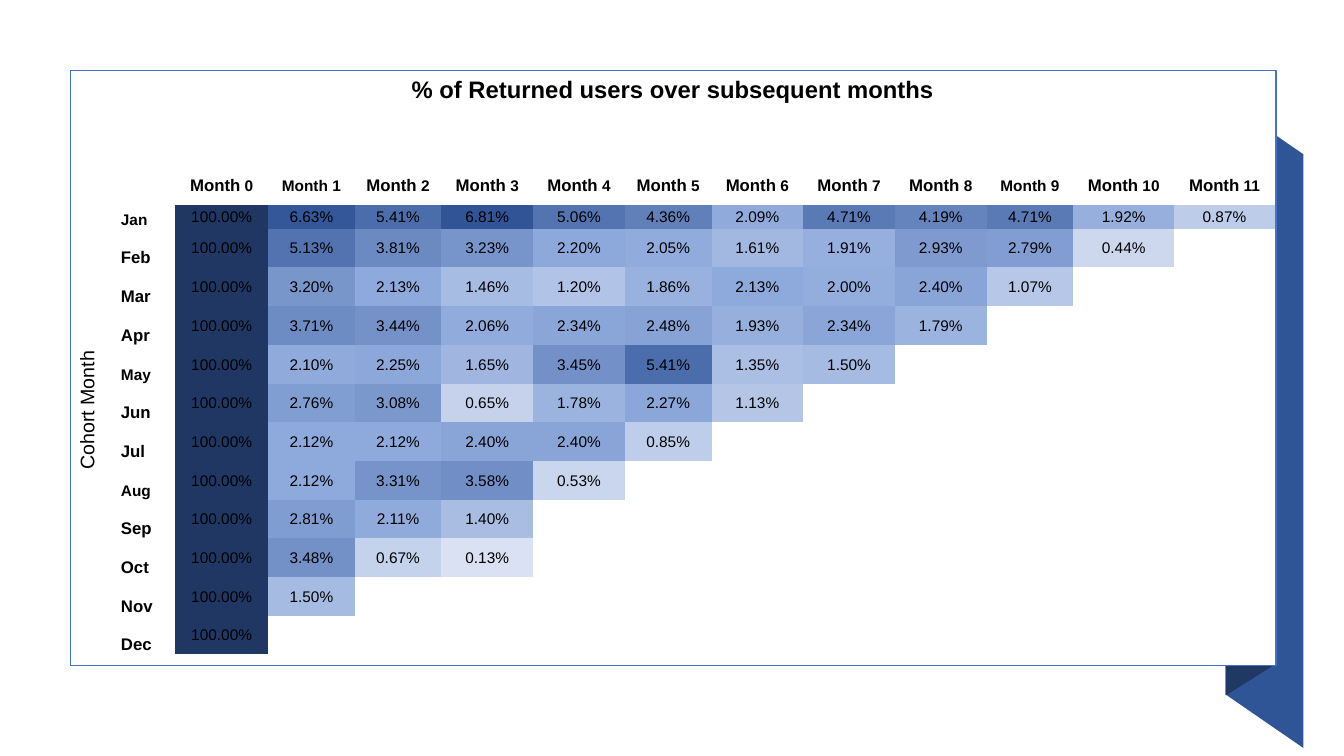
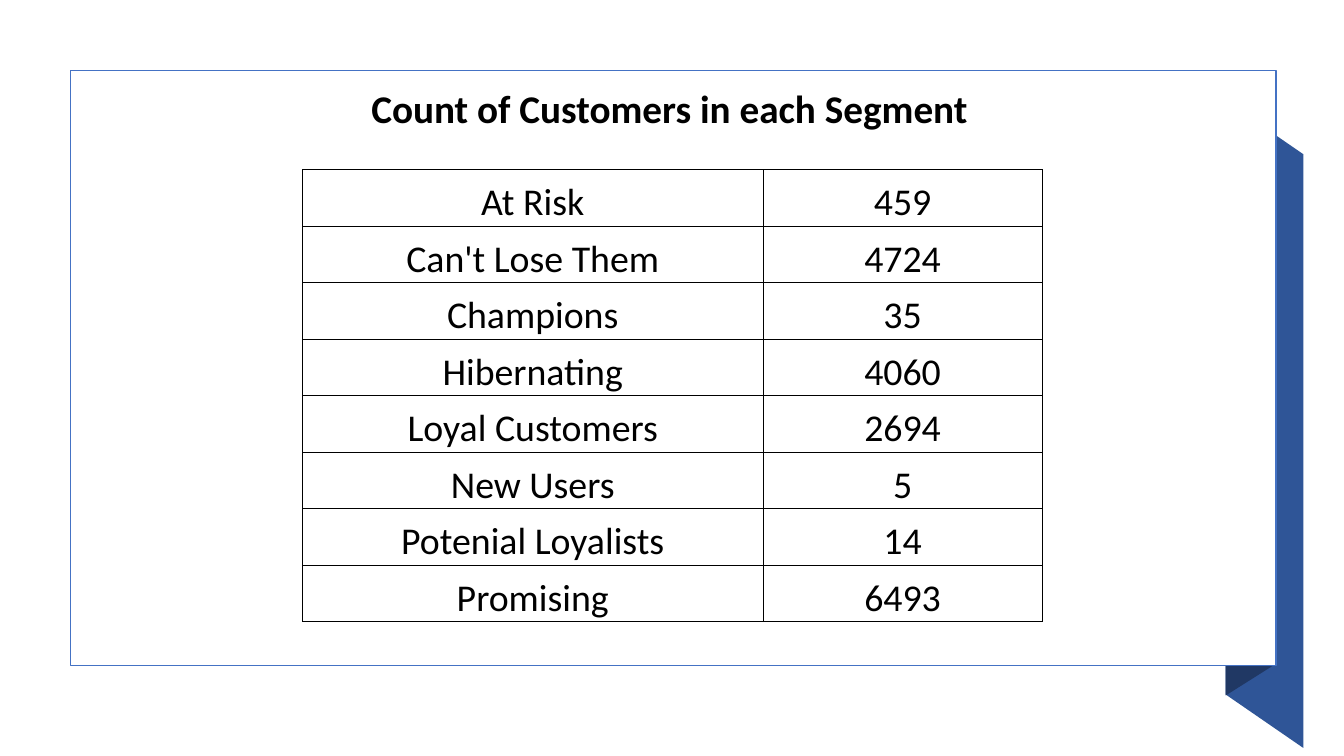
from lxml.etree import SubElement
from pptx import Presentation
from pptx.dml.color import RGBColor
from pptx.enum.shapes import MSO_SHAPE
from pptx.enum.text import MSO_ANCHOR, MSO_AUTO_SIZE, PP_ALIGN
from pptx.oxml import parse_xml
from pptx.oxml.ns import nsdecls, qn
from pptx.util import Inches, Pt

COLUMNS, ROWS = 133.33, 75
BLANK, TITLE_ONLY = 6, 5
NO_TABLE_STYLE = "{2D5ABB26-0587-4C30-8999-92F81FD0307C}"
SMALLEST, MEDIAN, LARGEST = 0.13, 2.13, 6.81

MONTHS = "Jan Feb Mar Apr May Jun Jul Aug Sep Oct Nov Dec".split()
SMALL_MONTHS = {"Jan", "May", "Aug"}
SMALL_HEADINGS = {1, 9}
RETENTION = [
    [100, 6.63, 5.41, 6.81, 5.06, 4.36, 2.09, 4.71, 4.19, 4.71, 1.92, 0.87],
    [100, 5.13, 3.81, 3.23, 2.20, 2.05, 1.61, 1.91, 2.93, 2.79, 0.44],
    [100, 3.20, 2.13, 1.46, 1.20, 1.86, 2.13, 2.00, 2.40, 1.07],
    [100, 3.71, 3.44, 2.06, 2.34, 2.48, 1.93, 2.34, 1.79],
    [100, 2.10, 2.25, 1.65, 3.45, 5.41, 1.35, 1.50],
    [100, 2.76, 3.08, 0.65, 1.78, 2.27, 1.13],
    [100, 2.12, 2.12, 2.40, 2.40, 0.85],
    [100, 2.12, 3.31, 3.58, 0.53],
    [100, 2.81, 2.11, 1.40],
    [100, 3.48, 0.67, 0.13],
    [100, 1.50],
    [100],
]
SEGMENTS = [
    ("At Risk", 459),
    ("Can't Lose Them", 4724),
    ("Champions", 35),
    ("Hibernating", 4060),
    ("Loyal Customers", 2694),
    ("New Users", 5),
    ("Potenial Loyalists", 14),
    ("Promising", 6493),
]


def color(code):
    """Turn a hex string into a colour."""
    return RGBColor.from_string(code)


def grid(count):
    """Turn a count of grid cells into a length."""
    return Inches(count / 10)


def blend(start, end, share):
    """Mix two hex colours."""
    pairs = zip(color(start), color(end))
    return "".join(f"{round(a + (b - a) * share):02X}" for a, b in pairs)


def heat(rate):
    """Give the heat map colour of a retention rate."""
    if rate == 100:
        return "203764"
    if rate < MEDIAN:
        return blend("D9E1F2", "8EA9DB", (rate - SMALLEST) / (MEDIAN - SMALLEST))
    return blend("8EA9DB", "305496", (rate - MEDIAN) / (LARGEST - MEDIAN))


class Deck:
    """Hold the style and the current slide."""

    ink, accent, ribbon, fold, paper = "000000", "4472C4", "2F5597", "203864", "FFFFFF"

    def __init__(self):
        """Start an empty widescreen deck."""
        self.deck = Presentation()
        self.deck.slide_width, self.deck.slide_height = grid(COLUMNS), grid(ROWS)

    def begin(self, layout):
        """Add a slide with the ribbon and the framed panel."""
        self.slide = self.deck.slides.add_slide(self.deck.slide_layouts[layout])
        self.outline([(129.3, 74.2), (121.6, 68.9), (121.6, 10), (129.3, 15.3)], self.ribbon)
        self.outline([(126.2, 66.1), (121.6, 69), (121.6, 10), (126.2, 7)], self.fold)
        panel = self.slide.shapes.add_shape(
            MSO_SHAPE.RECTANGLE, grid(7), grid(7), grid(119.6), grid(59))
        panel.shadow.inherit = False
        panel.fill.solid()
        panel.fill.fore_color.rgb = color(self.paper)
        panel.line.color.rgb = color(self.accent)
        panel.line.width = Pt(1)

    def outline(self, corners, fill):
        """Draw a closed filled outline."""
        points = [(grid(x), grid(y)) for x, y in corners]
        builder = self.slide.shapes.build_freeform(*points[0])
        builder.add_line_segments(points[1:], close=True)
        piece = builder.convert_to_shape()
        piece.shadow.inherit = False
        piece.fill.solid()
        piece.fill.fore_color.rgb = color(fill)
        piece.line.fill.background()

    def add_text(self, paragraph, runs, font, bold=False, align=PP_ALIGN.CENTER):
        """Add (text, size) runs to a paragraph."""
        paragraph.alignment = align
        for text, size in runs:
            run = paragraph.add_run()
            run.text = text
            run.font.name, run.font.size, run.font.bold = font, Pt(size), bold
            run.font.color.rgb = color(self.ink)

    def title(self, text, left, top, width, height):
        """Place the title placeholder on top of the panel."""
        heading = self.slide.shapes.title
        heading.left, heading.top = grid(left), grid(top)
        heading.width, heading.height = grid(width), grid(height)
        heading.text_frame.auto_size = MSO_AUTO_SIZE.NONE
        heading.text_frame.vertical_anchor = MSO_ANCHOR.MIDDLE
        self.add_text(heading.text_frame.paragraphs[0], [(text, 28)], "Calibri", True)
        self.slide.shapes._spTree.append(heading._element)

    def table(self, left, top, widths, heights):
        """Add a table without style or fills."""
        frame = self.slide.shapes.add_table(
            len(heights), len(widths), grid(left), grid(top),
            grid(sum(widths)), grid(sum(heights)))
        table = frame.table
        table.first_row = table.horz_banding = False
        table._tbl.tblPr.find(qn("a:tableStyleId")).text = NO_TABLE_STYLE
        for column, width in zip(table.columns, widths):
            column.width = grid(width)
        for row, height in zip(table.rows, heights):
            row.height = grid(height)
        for cell in table.iter_cells():
            cell.fill.background()
            cell.margin_left = cell.margin_right = cell.margin_top = grid(0.1)
            cell.margin_bottom = 0
        return table

    def cell(self, cell, runs, font="Arial", bold=False, align=PP_ALIGN.CENTER,
             anchor=MSO_ANCHOR.MIDDLE, fill=None):
        """Fill in one table cell."""
        cell.vertical_anchor = anchor
        self.add_text(cell.text_frame.paragraphs[0], runs, font, bold, align)
        if fill:
            cell.fill.solid()
            cell.fill.fore_color.rgb = color(fill)

    def shrink_empty(self, table, size):
        """Keep empty cells from stretching their rows."""
        for row in table._tbl.tr_lst:
            for paragraph in row.iter(qn("a:p")):
                if paragraph.find(qn("a:r")) is None:
                    SubElement(paragraph, qn("a:endParaRPr"), sz=str(size * 100))

    def borders(self, table, width):
        """Rule every side of every cell."""
        for cell in table.iter_cells():
            properties = cell._tc.get_or_add_tcPr()
            for place, side in enumerate(("lnL", "lnR", "lnT", "lnB")):
                properties.insert(place, parse_xml(
                    f'<a:{side} {nsdecls("a")} w="{Pt(width)}"><a:solidFill>'
                    f'<a:srgbClr val="{self.ink}"/></a:solidFill></a:{side}>'))


def retention_slide(deck):
    """Build the cohort heat map."""
    deck.begin(BLANK)
    widths = [4.9, 5.5, 9.2, 8.6, 8.6, 9.1, 9.1, 8.6, 9.1, 9.1, 9.1, 8.6, 10, 10]
    heights = [4.5, 5, 3.8, 2.4] + [3.84] * (len(MONTHS) - 1)
    cohorts = deck.table(7, 7, widths, heights)

    heading, axis = cohorts.cell(0, 0), cohorts.cell(2, 0)
    heading.merge(cohorts.cell(0, len(widths) - 1))
    axis.merge(cohorts.cell(len(heights) - 1, 0))
    for caption in (heading, axis):
        caption.margin_left = caption.margin_right = grid(1.1)
        caption.margin_top = caption.margin_bottom = grid(0.6)
    deck.cell(heading, [("% of Returned users over subsequent months", 17)],
              bold=True, anchor=MSO_ANCHOR.TOP)
    deck.cell(axis, [("Cohort Month", 14)], anchor=MSO_ANCHOR.TOP)
    axis._tc.get_or_add_tcPr().set("vert", "vert270")

    for number in range(len(MONTHS)):
        size = 11 if number in SMALL_HEADINGS else 12
        deck.cell(cohorts.cell(2, number + 2),
                  [("Month", size), (f" {number}", 11)], bold=True)
    for row, (month, rates) in enumerate(zip(MONTHS, RETENTION), 3):
        size = 11 if month in SMALL_MONTHS else 12
        deck.cell(cohorts.cell(row, 1), [(month, size)], bold=True,
                  align=PP_ALIGN.LEFT, anchor=MSO_ANCHOR.BOTTOM)
        for column, rate in enumerate(rates, 2):
            deck.cell(cohorts.cell(row, column), [(f"{rate:.2f}%", 11)], fill=heat(rate))
    deck.shrink_empty(cohorts, 11)


def segment_slide(deck):
    """Build the table of customer counts."""
    deck.begin(TITLE_ONLY)
    counts = deck.table(30, 16.8, [45.7, 27.7], [5.61] * len(SEGMENTS))
    for row, entries in enumerate(SEGMENTS):
        for column, entry in enumerate(entries):
            deck.cell(counts.cell(row, column), [(str(entry), 27)], "Calibri",
                      anchor=MSO_ANCHOR.BOTTOM)
    deck.borders(counts, 0.5)
    deck.title("Count of Customers in each Segment", 6.7, 7.8, 119.4, 5.7)


def main():
    """Build and save both slides."""
    deck = Deck()
    retention_slide(deck)
    segment_slide(deck)
    deck.deck.save("out.pptx")


main()
